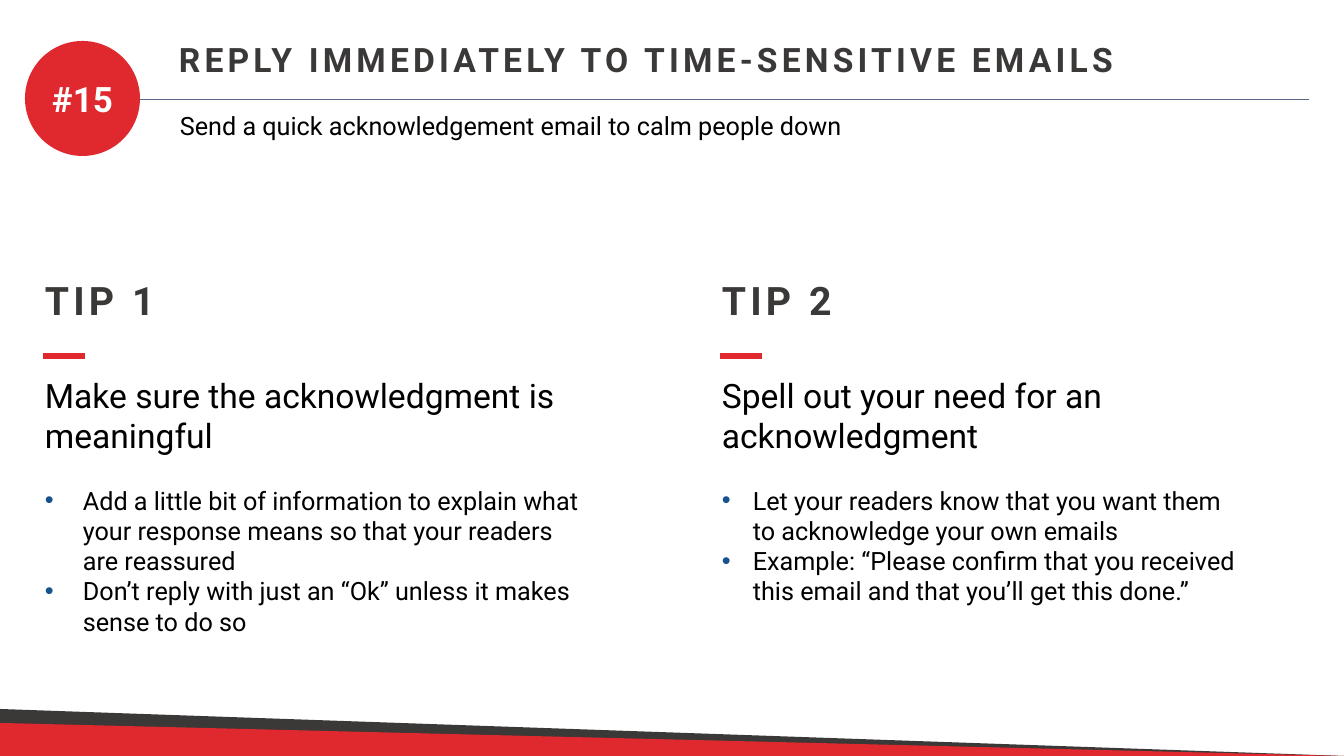
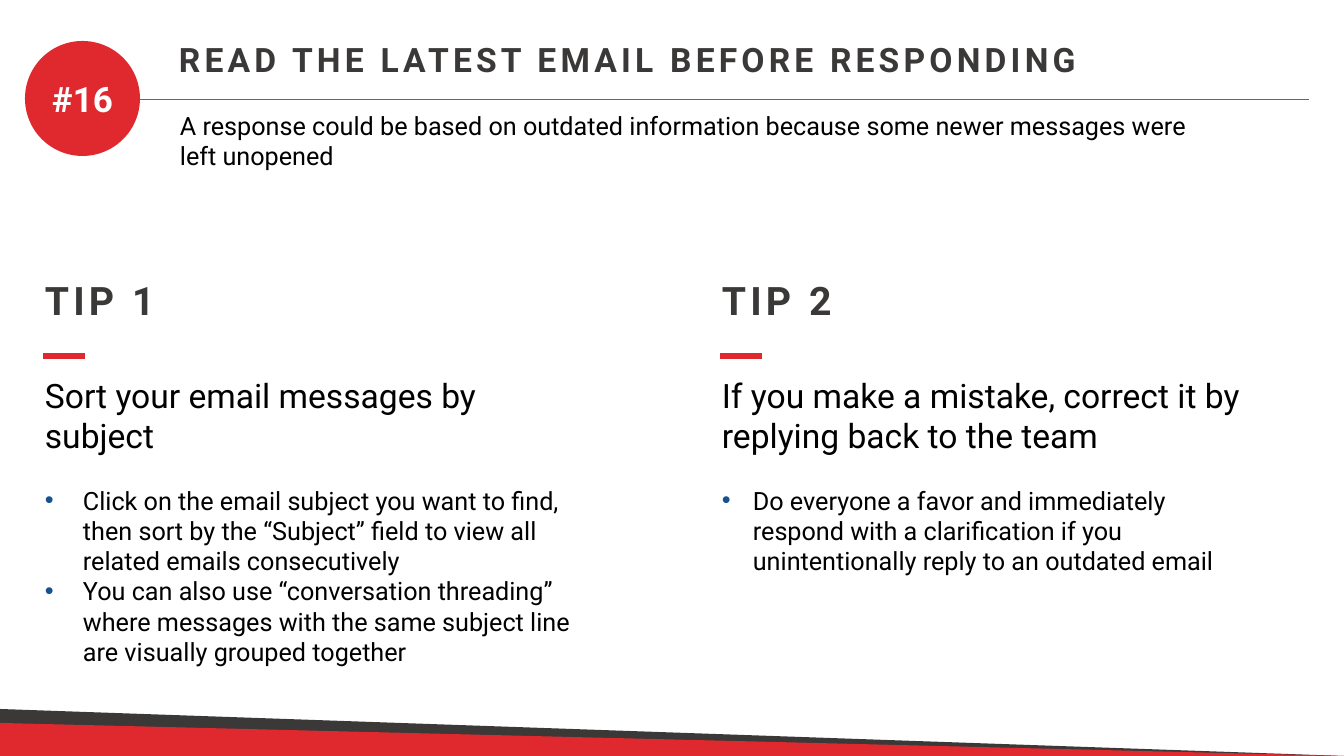
from lxml.etree import SubElement
from pptx import Presentation
from pptx.dml.color import RGBColor
from pptx.enum.shapes import MSO_CONNECTOR, MSO_SHAPE
from pptx.enum.text import MSO_ANCHOR, MSO_AUTO_SIZE, PP_ALIGN
from pptx.oxml.ns import qn
from pptx.util import Emu, Pt

# Content: widths and heights are pixels of each text box
SLIDES = [
    {
        "badge": "#15",
        "title": ("REPLY IMMEDIATELY TO TIME-SENSITIVE EMAILS", 984),
        "lead": ("Send a quick acknowledgement email to calm people down", 40),
        "tips": [
            ("Make sure the acknowledgment is meaningful", (557, 275), [
                "Add a little bit of information to explain what your response "
                "means so that your readers are reassured",
                "Don’t reply with just an “Ok” unless it makes sense to do so",
            ]),
            ("Spell out your need for an acknowledgment", (541, 244), [
                "Let your readers know that you want them to acknowledge your "
                "own emails",
                "Example: “Please confirm that you received this email and that "
                "you’ll get this done.”",
            ]),
        ],
    },
    {
        "badge": "#16",
        "title": ("READ THE LATEST EMAIL BEFORE RESPONDING", 949),
        "lead": ("A response could be based on outdated information because "
                 "some newer messages were left unopened", 72),
        "tips": [
            ("Sort your email messages by subject", (550, 265), [
                "Click on the email subject you want to find, then sort by the "
                "“Subject” field to view all related emails consecutively",
                "You can also use “conversation threading” where messages with "
                "the same subject line are visually grouped together",
            ]),
            ("If you make a mistake, correct it by replying back to the team",
             (541, 214), [
                "Do everyone a favor and immediately respond with a "
                "clarification if you unintentionally reply to an outdated email",
            ]),
        ],
    },
]

# Shared look
RED, DARK, BLACK, WHITE = "DF292E", "3B3838", "000000", "FFFFFF"
RULE, DOT = "536986", "16528E"
STYLES = {
    "title": {"size": 24, "color": DARK, "bold": True, "spc": 3},
    "tip": {"size": 28, "color": DARK, "bold": True, "spc": 3},
    "badge": {"size": 25, "color": WHITE, "bold": True},
    "head": {"size": 24, "color": BLACK},
    "body": {"size": 18, "color": BLACK},
}
WIDTH, HEIGHT = 1344, 756
COLUMNS = [(35, 38), (712, 31)]  # left edge, bullet indent
BANDS = [(709, DARK), (723, RED)]
GAP = 21  # points between a heading and its bullets


def px(n):
    return Emu(round(n * 914400 / 100.8))


def rgb(code):
    return RGBColor.from_string(code)


def write(para, text, style):
    look = STYLES[style]
    run = para.add_run()
    run.text = text
    for name, value in {"name": "Roboto", "size": Pt(look["size"]),
                        "bold": look.get("bold", False)}.items():
        setattr(run.font, name, value)
    run.font.color.rgb = rgb(look["color"])
    if "spc" in look:
        run.font._rPr.set("spc", str(look["spc"] * 100))


def add_text(slide, box, text, style, wrap=True):
    frame = slide.shapes.add_textbox(*map(px, box)).text_frame
    frame.word_wrap = wrap
    frame.auto_size = MSO_AUTO_SIZE.SHAPE_TO_FIT_TEXT
    write(frame.paragraphs[0], text, style)
    return frame


def add_bullet(frame, text, indent, before):
    para = frame.add_paragraph()
    para.space_before = Pt(before)
    props = para._p.get_or_add_pPr()
    props.set("marL", str(px(indent)))
    props.set("indent", str(-px(indent)))
    tint = SubElement(props, qn("a:buClr"))
    SubElement(tint, qn("a:srgbClr")).set("val", DOT)
    SubElement(props, qn("a:buFont")).set("typeface", "Arial")
    SubElement(props, qn("a:buChar")).set("char", "•")
    write(para, text, "body")


def add_rule(slide, left, right, y, color, weight):
    rule = slide.shapes.add_connector(
        MSO_CONNECTOR.STRAIGHT, px(left), px(y), px(right), px(y))
    rule.line.color.rgb = rgb(color)
    rule.line.width = Pt(weight)
    SubElement(rule._element.spPr, qn("a:effectLst"))


def add_form(slide, kind, box, color):
    form = slide.shapes.add_shape(kind, *map(px, box))
    form.shadow.inherit = False
    form.fill.solid()
    form.fill.fore_color.rgb = rgb(color)
    form.line.fill.background()
    return form


def add_tip(slide, number, tip, column):
    head, size, points = tip
    left, indent = column
    frame = add_text(slide, (left, 370, *size), head, "head")
    for i, point in enumerate(points):
        add_bullet(frame, point, indent, 0 if i else GAP)
    add_text(slide, (left, 271, 134, 57), f"TIP {number}", "tip", False)
    add_rule(slide, left + 8, left + 50, 356, RED, 4.5)


deck = Presentation()
deck.slide_width, deck.slide_height = px(WIDTH), px(HEIGHT)

for page in SLIDES:
    slide = deck.slides.add_slide(deck.slide_layouts[6])

    # Title and rule
    title, wide = page["title"]
    add_text(slide, (169, 34, wide, 50), title, "title", False)
    add_rule(slide, 35, 1309, 99, RULE, 0.5)

    # Tip columns
    for number, (tip, column) in enumerate(zip(page["tips"], COLUMNS), 1):
        add_tip(slide, number, tip, column)

    # Sloping footer bands
    for top, color in BANDS:
        band = add_form(slide, MSO_SHAPE.ISOSCELES_TRIANGLE,
                        (0, top, WIDTH, HEIGHT - top), color)
        band.adjustments[0] = 0

    # Number badge
    badge = add_form(slide, MSO_SHAPE.OVAL, (25, 41, 115, 115), RED)
    frame = badge.text_frame
    frame.word_wrap = False
    frame.vertical_anchor = MSO_ANCHOR.MIDDLE
    frame.paragraphs[0].alignment = PP_ALIGN.CENTER
    write(frame.paragraphs[0], page["badge"], "badge")

    # Lead sentence
    lead, tall = page["lead"]
    add_text(slide, (170, 105, 1028, tall), lead, "body")

deck.save("out.pptx")
